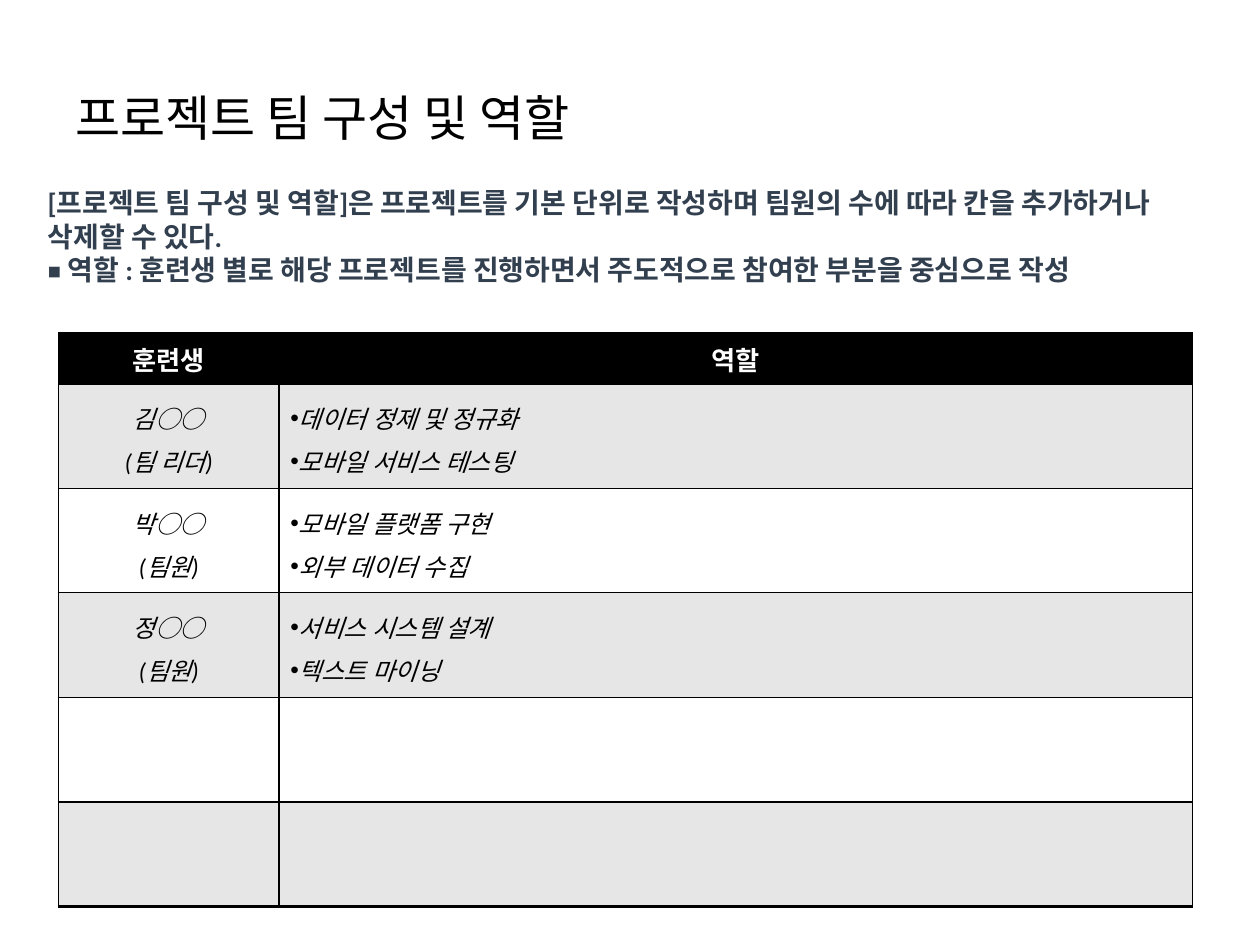
from lxml.etree import SubElement
from pptx import Presentation
from pptx.dml.color import RGBColor
from pptx.enum.text import MSO_ANCHOR, PP_ALIGN
from pptx.oxml.ns import qn
from pptx.util import Pt

COLORS = {"black": "000000", "white": "FFFFFF", "band": "E6E6E6", "slate": "323F4F"}
BODY_FONT = "Calibri"
TITLE_FONT = "Noto Sans CJK KR"
THIN, THICK = 0.75, 2

HEADERS = ["훈련생", "역할"]
MEMBERS = [
    (["김○○", "(팀 리더)"], ["데이터 정제 및 정규화", "모바일 서비스 테스팅"]),
    (["박○○", "(팀원)"], ["모바일 플랫폼 구현", "외부 데이터 수집"]),
    (["정○○", "(팀원)"], ["서비스 시스템 설계", "텍스트 마이닝"]),
    ([], []),
    ([], []),
]
GUIDE = [
    "[프로젝트 팀 구성 및 역할]은 프로젝트를 기본 단위로 작성하며 "
    "팀원의 수에 따라 칸을 추가하거나 삭제할 수 있다.",
    "◾ 역할 : 훈련생 별로 해당 프로젝트를 진행하면서 주도적으로 참여한 부분을 중심으로 작성",
]


def write_lines(text_frame, lines, size, color, font=BODY_FONT,
                align=PP_ALIGN.LEFT, bold=False, italic=False):
    """Write one paragraph per line and return the paragraphs."""
    paragraphs = []
    for index, line in enumerate(lines):
        paragraph = text_frame.add_paragraph() if index else text_frame.paragraphs[0]
        paragraph.alignment = align
        run = paragraph.add_run()
        run.text = line
        run.font.name = font
        run.font.size = Pt(size)
        run.font.bold = bold
        run.font.italic = italic
        run.font.color.rgb = RGBColor.from_string(COLORS[color])
        paragraphs.append(paragraph)
    return paragraphs


def add_bullet(paragraph):
    properties = paragraph._p.get_or_add_pPr()
    properties.set("marL", "0")
    properties.set("indent", "0")
    SubElement(properties, qn("a:buFont"), typeface="Arial")
    SubElement(properties, qn("a:buChar"), char="•")


def format_cell(cell, fill, top, bottom):
    """Set the borders, then the fill, in the order the schema asks for."""
    cell.vertical_anchor = MSO_ANCHOR.MIDDLE
    cell.margin_left = cell.margin_right = Pt(6.5)
    cell.margin_top = cell.margin_bottom = Pt(3)
    properties = cell._tc.get_or_add_tcPr()
    for side, width in (("L", THIN), ("R", THIN), ("T", top), ("B", bottom)):
        line = SubElement(properties, qn("a:ln" + side), w=str(Pt(width)))
        solid = SubElement(line, qn("a:solidFill"))
        SubElement(solid, qn("a:srgbClr"), val=COLORS["black"])
    cell.fill.solid()
    cell.fill.fore_color.rgb = RGBColor.from_string(COLORS[fill])


def add_title(slide, text):
    title = slide.shapes.title
    title.left, title.top, title.width, title.height = Pt(36), Pt(21.6), Pt(648), Pt(90)
    title.text_frame.vertical_anchor = MSO_ANCHOR.MIDDLE
    paragraph, = write_lines(title.text_frame, [text], 28, "black", TITLE_FONT)
    # East Asian typeface for the Hangul text
    run_properties = paragraph.runs[0].font._element
    SubElement(run_properties, qn("a:ea"), typeface=TITLE_FONT)


def add_guide(slide, lines):
    box = slide.shapes.add_textbox(Pt(20.2), Pt(105.8), Pt(674.6), Pt(58.3))
    text_frame = box.text_frame
    text_frame.word_wrap = True
    text_frame.vertical_anchor = MSO_ANCHOR.MIDDLE
    text_frame.margin_top = text_frame.margin_bottom = 0
    write_lines(text_frame, lines, 16, "slate", bold=True)


def add_team_table(slide):
    frame = slide.shapes.add_table(len(MEMBERS) + 1, 2, Pt(33.4), Pt(190.8), Pt(648), Pt(327.6))
    table = frame.table
    for column, width in zip(table.columns, (126, 522)):
        column.width = Pt(width)
    for index, row in enumerate(table.rows):
        row.height = Pt(59.8 if index else 28.4)

    # Header row
    for column, header in enumerate(HEADERS):
        cell = table.cell(0, column)
        format_cell(cell, "black", THICK, THICK)
        write_lines(cell.text_frame, [header], 15, "white", align=PP_ALIGN.CENTER, bold=True)

    # Member rows with alternating bands
    for row, texts in enumerate(MEMBERS, start=1):
        for column, lines in enumerate(texts):
            cell = table.cell(row, column)
            format_cell(cell, "band" if row % 2 else "white",
                        THICK if row == 1 else THIN,
                        THICK if row == len(MEMBERS) else THIN)
            align = PP_ALIGN.LEFT if column else PP_ALIGN.CENTER
            for paragraph in write_lines(cell.text_frame, lines, 14, "black",
                                         align=align, italic=True):
                paragraph.line_spacing = 1.2
                if column:
                    add_bullet(paragraph)


def main():
    presentation = Presentation()
    presentation.slide_width, presentation.slide_height = Pt(720), Pt(540)
    slide = presentation.slides.add_slide(presentation.slide_layouts[5])
    add_title(slide, "프로젝트 팀 구성 및 역할")
    add_team_table(slide)
    add_guide(slide, GUIDE)
    presentation.save("out.pptx")


main()
